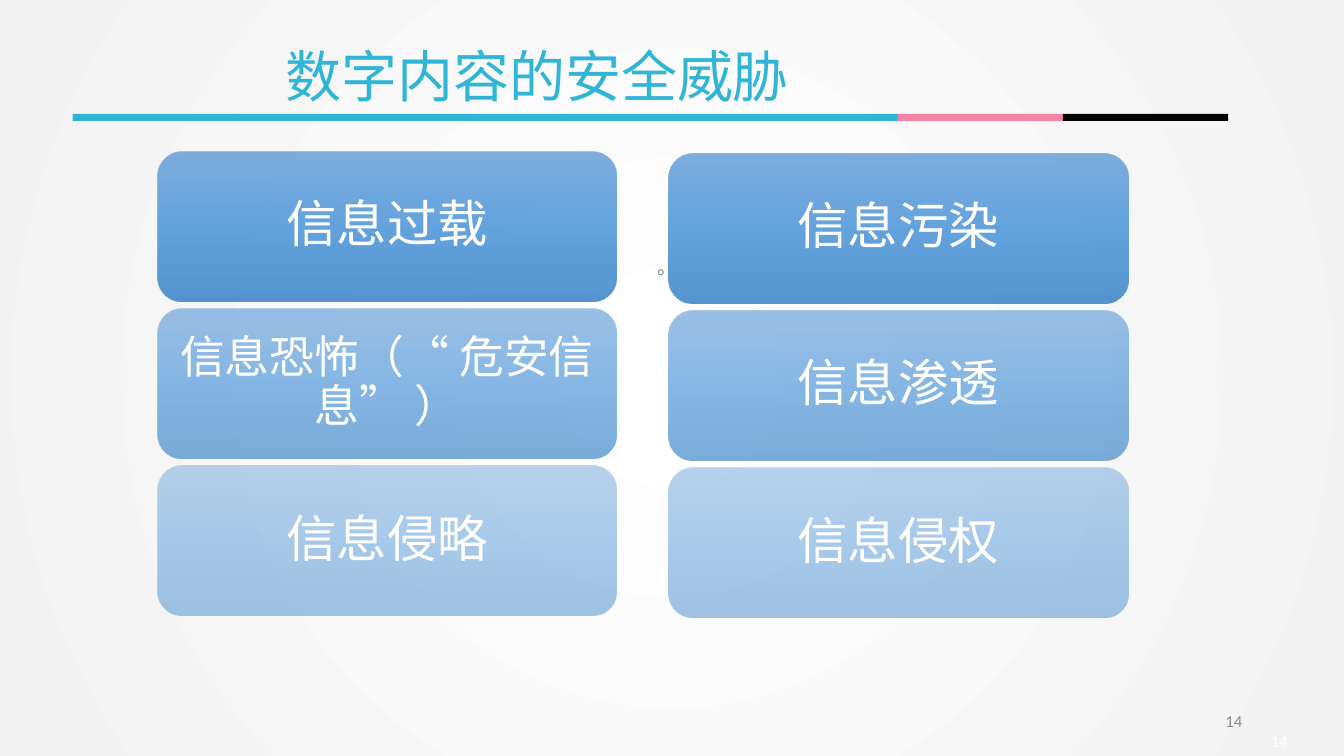
from dataclasses import dataclass
from typing import NamedTuple

from lxml import etree
from pptx import Presentation
from pptx.dml.color import RGBColor
from pptx.enum.shapes import MSO_SHAPE
from pptx.enum.text import MSO_ANCHOR, MSO_AUTO_SIZE, PP_ALIGN
from pptx.oxml.ns import qn
from pptx.slide import Slide
from pptx.text.text import TextFrame
from pptx.util import Inches, Pt

ROUNDED, RECTANGLE = MSO_SHAPE.ROUNDED_RECTANGLE, MSO_SHAPE.RECTANGLE
TOP, MIDDLE = MSO_ANCHOR.TOP, MSO_ANCHOR.MIDDLE
LEFT, CENTER, RIGHT = PP_ALIGN.LEFT, PP_ALIGN.CENTER, PP_ALIGN.RIGHT
FIT_TEXT = MSO_AUTO_SIZE.SHAPE_TO_FIT_TEXT

CYAN = RGBColor(0x31, 0xB5, 0xD6)
PINK = RGBColor(0xF7, 0x84, 0xA5)
BLACK = RGBColor(0x00, 0x00, 0x00)
WHITE = RGBColor(0xFF, 0xFF, 0xFF)
PALE = RGBColor(0xF2, 0xF2, 0xF2)
GRAY = RGBColor(0x7F, 0x7F, 0x7F)
NUMBER_GRAY = RGBColor(0x8C, 0x8C, 0x8C)
CARD_BLUES = (
    RGBColor(0x71, 0xA6, 0xDB),
    RGBColor(0x55, 0x9B, 0xDB),
    RGBColor(0x44, 0x8A, 0xCA),
)

CJK_FONT = "Noto Sans CJK SC"
LATIN_FONT = "Calibri"
TITLE_LAYOUT = 5


class Frame(NamedTuple):
    left: float
    top: float
    width: float
    height: float

    def lengths(self) -> tuple:
        return tuple(Inches(value) for value in self)


@dataclass(frozen=True)
class Grid:
    origin: Frame
    column_step: float
    row_step: float = 0

    def cell(self, column: int, row: int = 0) -> Frame:
        first = self.origin
        return first._replace(
            left=first.left + column * self.column_step,
            top=first.top + row * self.row_step,
        )


@dataclass(frozen=True)
class Card:
    text: str
    column: int
    row: int
    size: int = 36
    font: str = LATIN_FONT
    inset: float = 0.15


@dataclass(frozen=True)
class Label:
    text: str
    frame: Frame
    size: int
    color: RGBColor
    font: str = LATIN_FONT
    align: PP_ALIGN = LEFT
    anchor: MSO_ANCHOR = TOP
    spacing: float = 1.0


CARD_GRID = Grid(Frame(1.56, 1.5, 4.56, 1.49), 5.07, 1.56)
RIGHT_COLUMN_DROP = 0.02
ROW_OPACITIES = (90, 70, 50)
CARDS = (
    Card("信息过载", 0, 0, font=CJK_FONT),
    Card("信息恐怖（“ 危安信息” ）", 0, 1, size=32, inset=0.13),
    Card("信息侵略", 0, 2),
    Card("信息污染", 1, 0),
    Card("信息渗透", 1, 1),
    Card("信息侵权", 1, 2),
)

RULE_GRID = Grid(Frame(0.72, 1.13, 1.64, 0.07), 1.637)
RULE_COLORS = (CYAN,) * 5 + (PINK, BLACK)

TITLE = Label("数字内容的安全威胁", Frame(2.73, 0.36, 5.25, 0.77), 40, CYAN, CJK_FONT)
BODY = Label("。", Frame(6.42, 2.51, 5.13, 4.24), 14, GRAY, CJK_FONT, spacing=0.9)
NUMBERS = (
    Label("14", Frame(9.42, 6.95, 3, 0.4), 12, NUMBER_GRAY, align=RIGHT, anchor=MIDDLE),
    Label("14", Frame(9.87, 7.15, 3, 0.4), 12, WHITE, align=RIGHT, anchor=MIDDLE),
)


def apply_format(target: object, values: dict) -> None:
    for name, value in values.items():
        setattr(target, name, value)


def write_text(text_frame: TextFrame, label: Label) -> None:
    apply_format(text_frame, {"word_wrap": True, "vertical_anchor": label.anchor})
    para = text_frame.paragraphs[0]
    apply_format(para, {"alignment": label.align, "line_spacing": label.spacing})
    span = para.add_run()
    span.text = label.text
    apply_format(span.font, {"size": Pt(label.size), "name": label.font})
    span.font.color.rgb = label.color
    east_asian = etree.SubElement(span.font._element, qn("a:ea"))
    east_asian.set("typeface", CJK_FONT)


def set_gradient(owner: etree._Element, colors: tuple, opacity: int = 100) -> etree._Element:
    gradient = next(owner.iter(qn("a:gradFill")))
    for child in list(gradient):
        gradient.remove(child)
    stops = etree.SubElement(gradient, qn("a:gsLst"))
    for index, color in enumerate(colors):
        position = index * 100000 // (len(colors) - 1)
        stop = etree.SubElement(stops, qn("a:gs"), pos=str(position))
        shade = etree.SubElement(stop, qn("a:srgbClr"), val=str(color))
        if opacity < 100:
            etree.SubElement(shade, qn("a:alpha"), val=str(opacity * 1000))
    return gradient


def paint_background(page: Slide) -> None:
    page.background.fill.gradient()
    gradient = set_gradient(page.element, (WHITE, PALE))
    circle = etree.SubElement(gradient, qn("a:path"), attrib={"path": "circle"})
    center = dict.fromkeys("ltrb", "50000")
    etree.SubElement(circle, qn("a:fillToRect"), attrib=center)


def add_label(page: Slide, label: Label) -> None:
    box = page.shapes.add_textbox(*label.frame.lengths())
    write_text(box.text_frame, label)


def add_title(page: Slide) -> None:
    title = page.shapes.title
    names = ("left", "top", "width", "height")
    apply_format(title, dict(zip(names, TITLE.frame.lengths())))
    write_text(title.text_frame, TITLE)
    apply_format(title.text_frame, {"word_wrap": False, "auto_size": FIT_TEXT})


def add_rule(page: Slide) -> None:
    for column, color in enumerate(RULE_COLORS):
        segment = page.shapes.add_shape(RECTANGLE, *RULE_GRID.cell(column).lengths())
        segment.shadow.inherit = False
        segment.fill.solid()
        segment.fill.fore_color.rgb = color
        segment.line.fill.background()


def add_card(page: Slide, card: Card) -> None:
    cell = CARD_GRID.cell(card.column, card.row)
    frame = cell._replace(top=cell.top + card.column * RIGHT_COLUMN_DROP)
    box = page.shapes.add_shape(ROUNDED, *frame.lengths())
    box.shadow.inherit = False
    box.line.fill.background()
    box.fill.gradient()
    gradient = set_gradient(box.element, CARD_BLUES, ROW_OPACITIES[card.row])
    etree.SubElement(gradient, qn("a:lin"), ang="5400000", scaled="0")
    margins = {"margin_left": card.inset, "margin_right": card.inset,
               "margin_top": 0.07, "margin_bottom": 0.07}
    apply_format(box.text_frame, {name: Inches(value) for name, value in margins.items()})
    write_text(box.text_frame, Label(card.text, frame, card.size, WHITE, card.font,
                                     CENTER, MIDDLE, 0.9))


def main() -> None:
    deck = Presentation()
    apply_format(deck, {"slide_width": Inches(13.33), "slide_height": Inches(7.5)})
    page = deck.slides.add_slide(deck.slide_layouts[TITLE_LAYOUT])
    paint_background(page)
    add_title(page)
    add_label(page, BODY)
    add_rule(page)
    for card in CARDS:
        add_card(page, card)
    for number in NUMBERS:
        add_label(page, number)
    deck.save("out.pptx")


if __name__ == "__main__":
    main()
